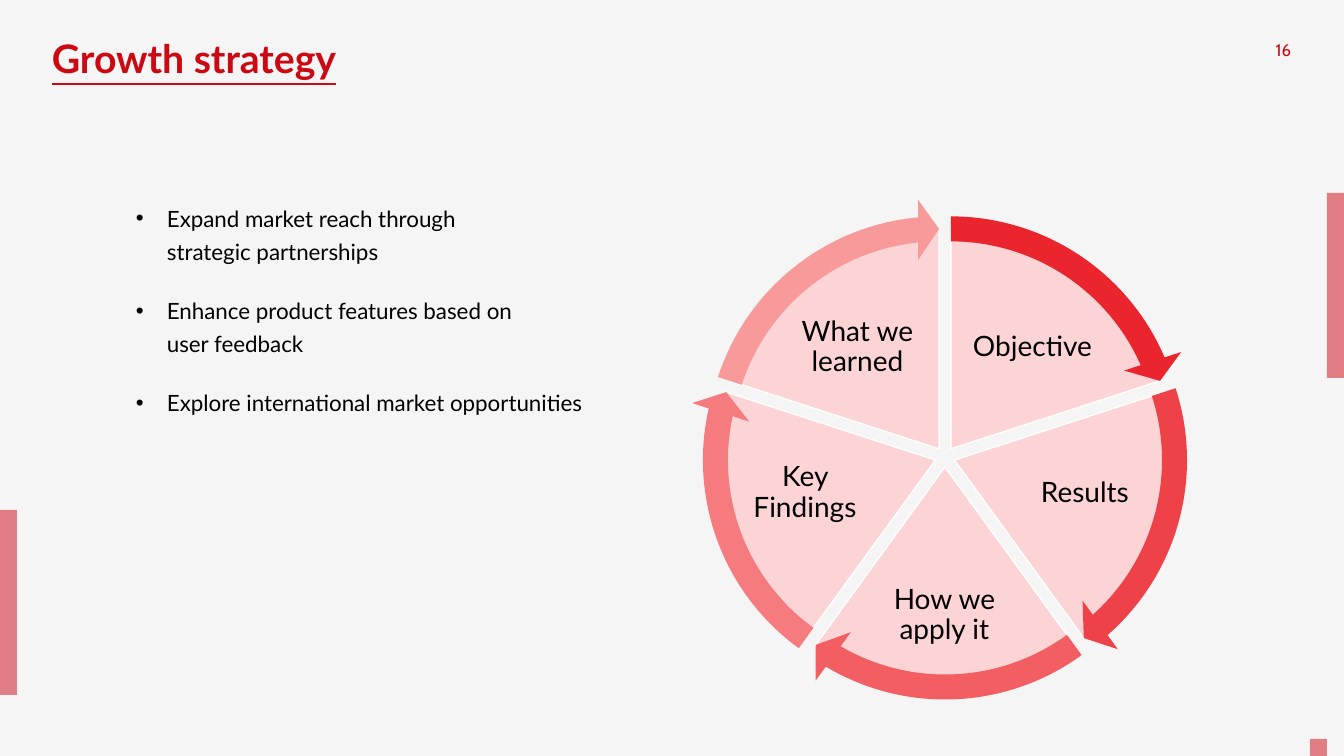
import math

import pptx
import pptx.dml.color
import pptx.enum.shapes
import pptx.enum.text
import pptx.oxml
import pptx.oxml.ns
import pptx.util

PX = 914400 / 100.8
COLORS = {
    "background": "F5F5F5",
    "red": "CC0912",
    "text": "000000",
    "slice": "FDD4D6",
    "gap": "FFFFFF",
}
SHAPE = pptx.enum.shapes.MSO_SHAPE
ALIGN = pptx.enum.text.PP_ALIGN
rgb = pptx.dml.color.RGBColor.from_string


def add_filled(shapes, kind, box, color):
    """Add a borderless, shadowless shape; box is left, top, width, height in px."""
    s = shapes.add_shape(kind, *(round(v * PX) for v in box))
    s.shadow.inherit = False
    s.fill.solid()
    s.fill.fore_color.rgb = rgb(color)
    s.line.fill.background()
    return s


def add_text(shapes, box, paragraphs, size, color, font="Lato", spacing=None,
             align=ALIGN.LEFT):
    """Add a wrapping text box; a newline inside a paragraph is a line break."""
    s = shapes.add_textbox(*(round(v * PX) for v in box))
    tf = s.text_frame
    tf.word_wrap = True
    for i, text in enumerate(paragraphs):
        p = tf.add_paragraph() if i else tf.paragraphs[0]
        p.alignment = align
        p.line_spacing = spacing
        for j, line in enumerate(text.split("\n")):
            if j:
                p.add_line_break()
            r = p.add_run()
            r.text = line
            r.font.name = font
            r.font.size = pptx.util.Pt(size)
            r.font.color.rgb = rgb(color)
    return tf


prs = pptx.Presentation()
prs.slide_width = round(1344 * PX)
prs.slide_height = round(756 * PX)
slide = prs.slides.add_slide(prs.slide_layouts[6])
slide.background.fill.solid()
slide.background.fill.fore_color.rgb = rgb(COLORS["background"])

# Half-transparent edge bars
for box in [(1327, 193, 17, 185), (0, 510, 17, 185), (1310, 739, 17, 17)]:
    bar = add_filled(slide.shapes, SHAPE.RECTANGLE, box, COLORS["red"])
    fill_color = bar.fill._xPr.find(".//" + pptx.oxml.ns.qn("a:srgbClr"))
    fill_color.append(pptx.oxml.parse_xml(
        f'<a:alpha {pptx.oxml.ns.nsdecls("a")} val="50000"/>'))

# Title and page number
tf = add_text(slide.shapes, (42, 35, 552, 123), ["Growth strategy"], 28,
              COLORS["red"], spacing=0.9)
title_font = tf.paragraphs[0].runs[0].font
title_font.bold = True
title_font.underline = True

tf = add_text(slide.shapes, (1250, 35, 51, 40), ["16"], 12, COLORS["red"],
              font="Cabin", align=ALIGN.RIGHT)
tf.margin_bottom = 0

# Bullets
strategies = [
    "Expand market reach through \nstrategic partnerships",
    "Enhance product features based on \nuser feedback",
    "Explore international market opportunities",
]
tf = add_text(slide.shapes, (126, 193, 469, 493), strategies, 16,
              COLORS["text"], spacing=1.25)
for p in tf.paragraphs:
    p.space_after = pptx.util.Pt(18)
    pPr = p._p.get_or_add_pPr()
    pPr.set("marL", str(round(31 * PX)))
    pPr.set("indent", str(round(-31 * PX)))
    for bullet in ('buFont {} typeface="Arial"', 'buChar {} char="•"'):
        pPr.append(pptx.oxml.parse_xml(
            f'<a:{bullet.format(pptx.oxml.ns.nsdecls("a"))}/>'))

# Cycle: five slices pushed out from a hub, each with an arrow on its rim.
# Angles in shape adjustments are in units of 5/3 degree, a full turn being 216.
HUB_X, HUB_Y, PUSH = 945, 457, 10
SLICE_SIZE, ARROW_SIZE = 444, 500
TURN, TOP = 216, 162
steps = [
    ("Objective", (961, 300, 143, 95), "EA252E"),
    ("Results", (1019, 440, 132, 106), "EE4148"),
    ("How we apply it", (881, 557, 127, 117), "F25E62"),
    ("Key Findings", (739, 440, 132, 106), "F57B7E"),
    ("What we learned", (786, 300, 143, 95), "F8999A"),
]
SWEEP = TURN / len(steps)
cycle = slide.shapes.add_group_shape().shapes

arrows = []
for i, (label, label_box, arrow_color) in enumerate(steps):
    start = (TOP + i * SWEEP) % TURN
    middle = math.tau * (start + SWEEP / 2) / TURN
    x = HUB_X + PUSH * math.cos(middle)
    y = HUB_Y + PUSH * math.sin(middle)
    arrows.append((x, y, start, arrow_color))

    r = SLICE_SIZE / 2
    s = add_filled(cycle, SHAPE.PIE, (x - r, y - r, SLICE_SIZE, SLICE_SIZE),
                   COLORS["slice"])
    s.adjustments[0] = start
    s.adjustments[1] = (start + SWEEP) % TURN
    s.line.color.rgb = rgb(COLORS["gap"])
    s.line.width = pptx.util.Pt(1)

    tf = add_text(cycle, label_box, [label], 20, COLORS["text"], spacing=0.9,
                  align=ALIGN.CENTER)
    tf.vertical_anchor = pptx.enum.text.MSO_ANCHOR.MIDDLE
    tf.margin_left = tf.margin_right = tf.margin_top = tf.margin_bottom = 0

for x, y, start, arrow_color in arrows:
    r = ARROW_SIZE / 2
    s = add_filled(cycle, SHAPE.CIRCULAR_ARROW,
                   (x - r, y - r, ARROW_SIZE, ARROW_SIZE), arrow_color)
    head_end = (start + 39.92) % TURN
    for i, value in enumerate((0.05, 3.28, head_end, start, 0.06)):
        s.adjustments[i] = value

prs.save("out.pptx")
